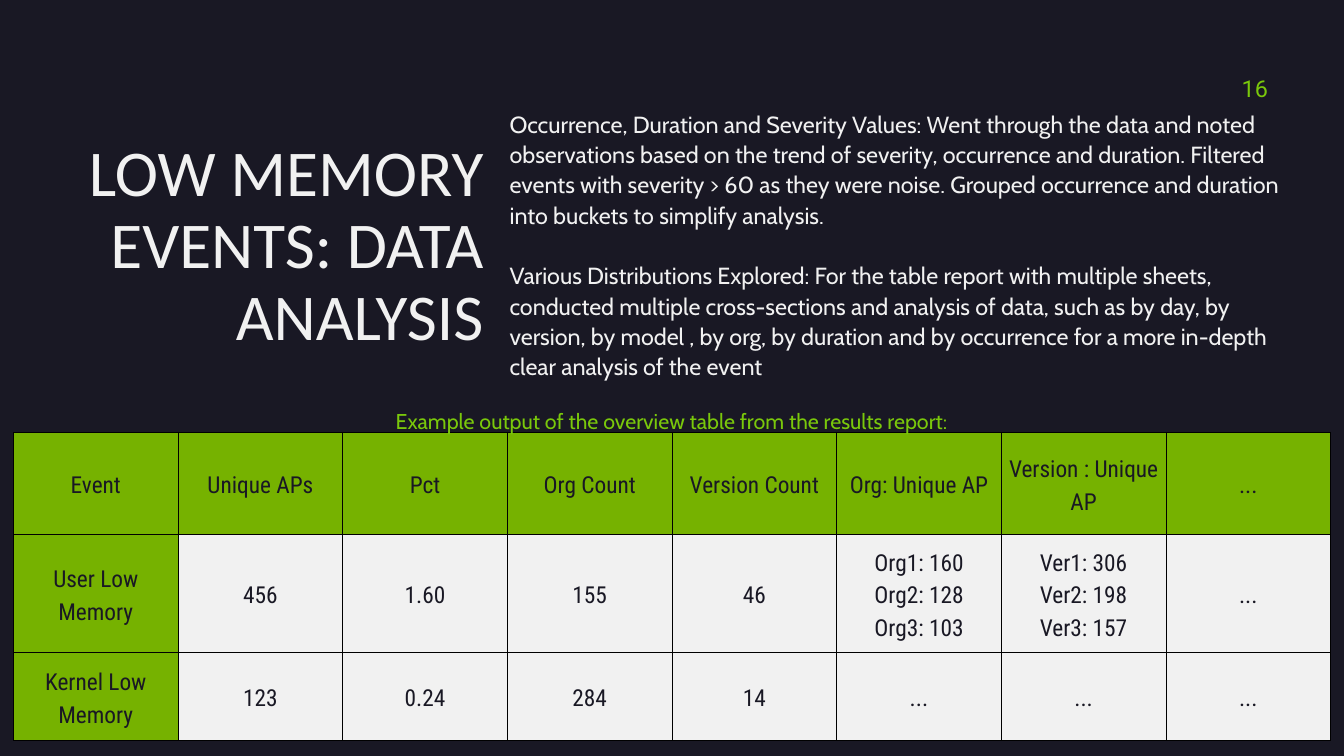
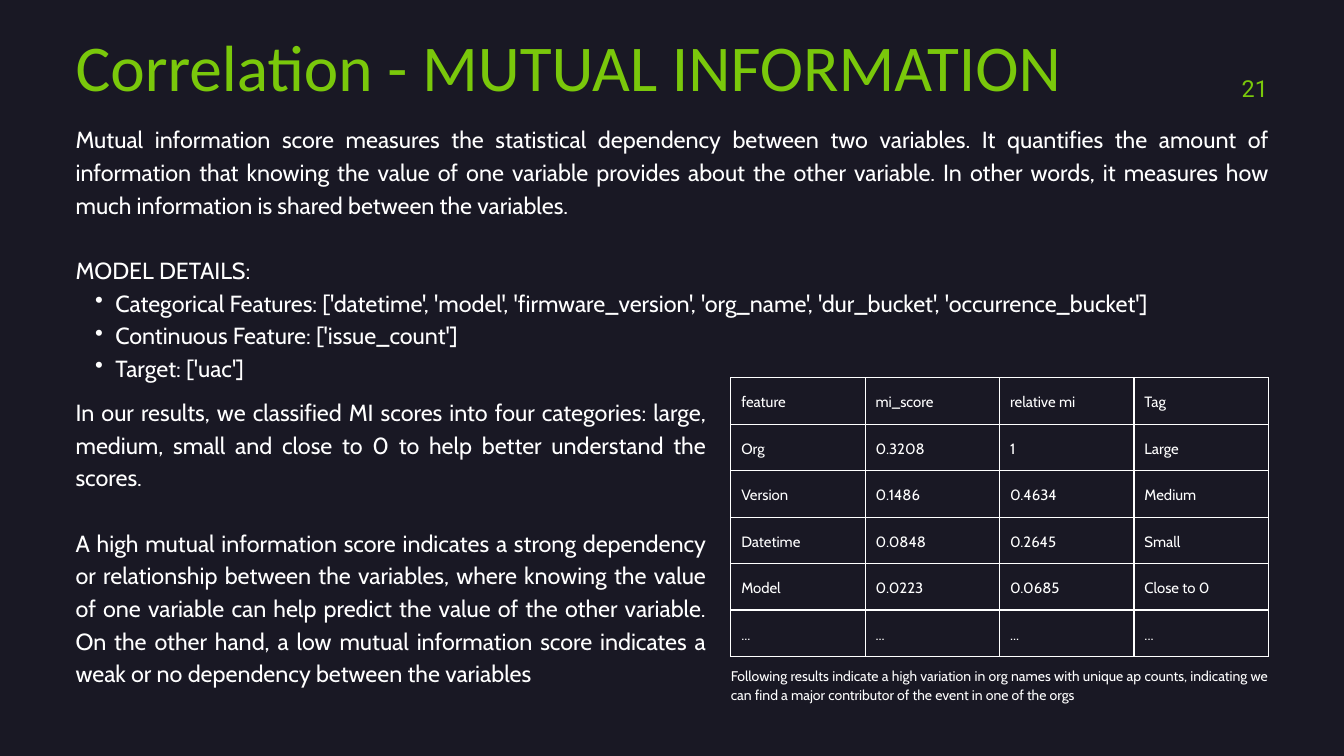
"""Build two dark slides on memory event analysis and mutual information."""
from lxml import etree
from pptx import Presentation
from pptx.dml.color import RGBColor
from pptx.enum.text import MSO_ANCHOR, PP_ALIGN
from pptx.oxml.ns import qn
from pptx.util import Pt

LEFT, CENTER, RIGHT, JUSTIFY = PP_ALIGN.LEFT, PP_ALIGN.CENTER, PP_ALIGN.RIGHT, PP_ALIGN.JUSTIFY
MIDDLE = MSO_ANCHOR.MIDDLE
SLIDE_WIDTH, SLIDE_HEIGHT = 1440, 810

DARK, LIGHT, WHITE, BLACK = "191824", "F1F1F1", "FFFFFF", "000000"
GREEN, BRIGHT_GREEN = "76B200", "7AC80B"


def text_style(name, size, color, alignment, line_spacing):
    return {"font": {"name": name, "size": Pt(size)}, "color": color,
            "paragraph": {"alignment": alignment, "line_spacing": Pt(line_spacing)}}


STYLES = {
    "side title": text_style("Calibri", 70, LIGHT, RIGHT, 77),
    "top title": text_style("Calibri", 70, BRIGHT_GREEN, LEFT, 79.8),
    "page number": text_style("Roboto", 25, BRIGHT_GREEN, RIGHT, 30),
    "summary": text_style("Cabin", 25, LIGHT, LEFT, 32.5),
    "body": text_style("Cabin", 25, WHITE, JUSTIFY, 35),
    "table heading": text_style("Cabin", 23, BRIGHT_GREEN, CENTER, 29.9),
    "table note": text_style("Cabin", 15, WHITE, JUSTIFY, 21),
    "overview cell": text_style("Roboto Condensed", 25, DARK, CENTER, 35),
    "score cell": text_style("Cabin", 16, WHITE, LEFT, 22.4),
}
PAGE_NUMBER_BOX = (1258.5, 80, 100, 31)

PLAIN, GAP, BULLET = "plain", "gap", "bullet"
BULLET_INDENT, BULLET_HANG = 42.5, 21.6

OVERVIEW_ROWS = [
    ["Event", "Unique APs", "Pct", "Org Count", "Version Count", "Org: Unique AP",
     "Version : Unique AP", "..."],
    ["User Low Memory", "456", "1.60", "155", "46", "Org1: 160\nOrg2: 128\nOrg3: 103",
     "Ver1: 306\nVer2: 198\nVer3: 157", "..."],
    ["Kernel Low Memory", "123", "0.24", "284", "14", "...", "...", "..."],
]
SCORE_ROWS = [
    ["feature", "mi_score", "relative mi", "Tag"],
    ["Org", "0.3208", "1", "Large"],
    ["Version", "0.1486", "0.4634", "Medium"],
    ["Datetime", "0.0848", "0.2645", "Small"],
    ["Model", "0.0223", "0.0685", "Close to 0"],
    ["..."] * 4,
]


def overview_fill(row, column):
    return GREEN if row == 0 or column == 0 else LIGHT


def no_fill(row, column):
    return None


SLIDES = [
    {
        "number": "16",
        "tables": [
            {"rows": OVERVIEW_ROWS, "origin": (14.4, 463.1), "column_width": 176.4,
             "row_heights": [109.4, 126, 95], "style": "overview cell", "margin": 6.75,
             "border": (BLACK, 1), "fill": overview_fill},
        ],
        "texts": [
            ("side title", (47, 147.5, 471, 232),
             [("LOW MEMORY EVENTS: DATA ANALYSIS", PLAIN)]),
            ("summary", (546, 115, 844, 290), [
                ("Occurrence, Duration and Severity Values: Went through the data and noted "
                 "observations based on the trend of severity, occurrence and duration. Filtered "
                 "events with severity > 60 as they were noise. Grouped occurrence and duration "
                 "into buckets to simplify analysis.", PLAIN),
                ("Various Distributions Explored: For the table report with multiple sheets, "
                 "conducted multiple cross-sections and analysis of data, such as by day, by "
                 "version, by model , by org, by duration and by occurrence for a more in-depth "
                 "clear analysis of the event", GAP),
            ]),
            ("table heading", (14.4, 435, 1411.2, 29),
             [("Example output of the overview table from the results report:", PLAIN)]),
        ],
    },
    {
        "number": "21",
        "tables": [
            {"rows": SCORE_ROWS, "origin": (783, 404.8), "column_width": 144,
             "row_heights": [49.8] * len(SCORE_ROWS), "style": "score cell", "margin": 11.25,
             "border": (WHITE, 1.5), "fill": no_fill},
        ],
        "texts": [
            ("body", (81, 129.5, 1278, 276), [
                ("Mutual information score measures the statistical dependency between two "
                 "variables. It quantifies the amount of information that knowing the value of "
                 "one variable provides about the other variable. In other words, it measures "
                 "how much information is shared between the variables.", PLAIN),
                ("MODEL DETAILS:", GAP),
                ("Categorical Features: ['datetime', 'model', 'firmware_version', 'org_name', "
                 "'dur_bucket', 'occurrence_bucket']", BULLET),
                ("Continuous Feature: ['issue_count']", BULLET),
                ("Target: ['uac']", BULLET),
            ]),
            ("top title", (81, 32, 1227.5, 81), [("Correlation - MUTUAL INFORMATION", PLAIN)]),
            ("body", (81, 421.5, 675.5, 344), [
                ("In our results, we classified MI scores into four categories: large, medium, "
                 "small and close to 0 to help better understand the scores.", PLAIN),
                ("A high mutual information score indicates a strong dependency or relationship "
                 "between the variables, where knowing the value of one variable can help predict "
                 "the value of the other variable. On the other hand, a low mutual information "
                 "score indicates a weak or no dependency between the variables", GAP),
            ]),
            ("table note", (783, 712, 576, 41), [
                ("Following results indicate a high variation in org names with unique ap counts, "
                 "indicating we can find a major contributor of the event in one of the orgs",
                 PLAIN),
            ]),
        ],
    },
]


def rgb(color):
    return RGBColor.from_string(color)


def set_attributes(target, values):
    for name, value in values.items():
        setattr(target, name, value)


def set_margins(target, margin):
    set_attributes(target, {f"margin_{side}": Pt(margin)
                            for side in ("left", "top", "right", "bottom")})


def add_bullet(paragraph):
    properties = paragraph._p.get_or_add_pPr()
    properties.set("marL", str(Pt(BULLET_INDENT)))
    properties.set("indent", str(-Pt(BULLET_HANG)))
    etree.SubElement(properties, qn("a:buChar")).set("char", "•")


def write_paragraphs(text_frame, paragraphs, style):
    for index, (text, kind) in enumerate(paragraphs):
        paragraph = text_frame.add_paragraph() if index else text_frame.paragraphs[0]
        if kind == BULLET:
            add_bullet(paragraph)
        set_attributes(paragraph, style["paragraph"])
        if kind == GAP:
            paragraph.space_before = style["paragraph"]["line_spacing"]
        run = paragraph.add_run()
        run.text = text
        set_attributes(run.font, style["font"])
        run.font.color.rgb = rgb(style["color"])


def add_text(slide, style_name, box, paragraphs):
    text_frame = slide.shapes.add_textbox(*map(Pt, box)).text_frame
    text_frame.word_wrap = True
    set_margins(text_frame, 0)
    write_paragraphs(text_frame, paragraphs, STYLES[style_name])


def add_borders(cell, color, width):
    properties = cell._tc.get_or_add_tcPr()
    for index, side in enumerate("LRTB"):
        line = etree.Element(qn(f"a:ln{side}"), w=str(Pt(width)))
        fill = etree.SubElement(line, qn("a:solidFill"))
        etree.SubElement(fill, qn("a:srgbClr")).set("val", color)
        properties.insert(index, line)


def add_table(slide, content):
    rows, heights = content["rows"], content["row_heights"]
    column_count = len(rows[0])
    size = (content["column_width"] * column_count, sum(heights))
    table = slide.shapes.add_table(len(rows), column_count,
                                   *map(Pt, content["origin"] + size)).table
    set_attributes(table, {"first_row": False, "horz_banding": False})
    for column in table.columns:
        column.width = Pt(content["column_width"])
    for row_index, texts in enumerate(rows):
        table.rows[row_index].height = Pt(heights[row_index])
        for column_index, text in enumerate(texts):
            cell = table.cell(row_index, column_index)
            cell.vertical_anchor = MIDDLE
            set_margins(cell, content["margin"])
            color = content["fill"](row_index, column_index)
            if color:
                cell.fill.solid()
                cell.fill.fore_color.rgb = rgb(color)
            else:
                cell.fill.background()
            add_borders(cell, *content["border"])
            lines = [(line, PLAIN) for line in text.split("\n")]
            write_paragraphs(cell.text_frame, lines, STYLES[content["style"]])


def main():
    presentation = Presentation()
    presentation.slide_width, presentation.slide_height = Pt(SLIDE_WIDTH), Pt(SLIDE_HEIGHT)
    for content in SLIDES:
        slide = presentation.slides.add_slide(presentation.slide_layouts[6])
        slide.background.fill.solid()
        slide.background.fill.fore_color.rgb = rgb(DARK)
        for table in content["tables"]:
            add_table(slide, table)
        for text in content["texts"]:
            add_text(slide, *text)
        add_text(slide, "page number", PAGE_NUMBER_BOX, [(content["number"], PLAIN)])
    presentation.save("out.pptx")


if __name__ == "__main__":
    main()
